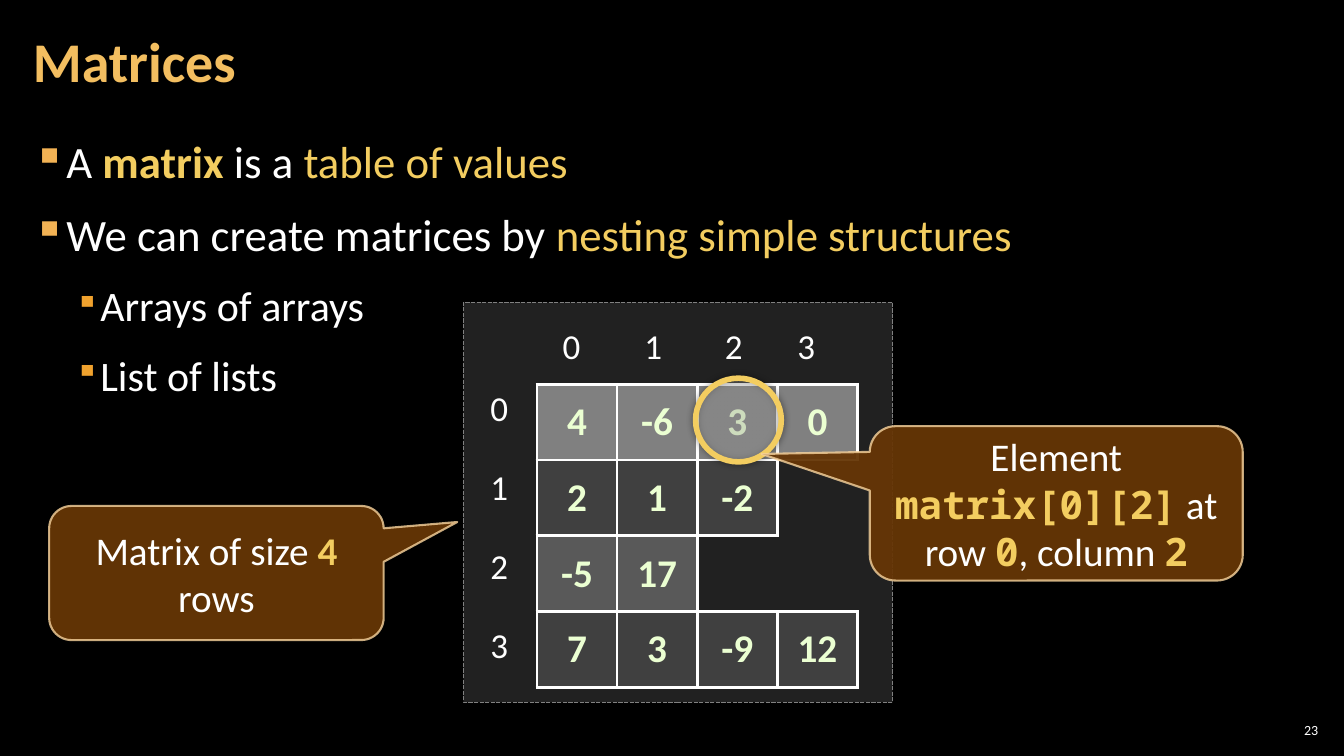
from dataclasses import dataclass

from lxml import etree
from pptx import Presentation
from pptx.dml.color import RGBColor
from pptx.enum.dml import MSO_LINE
from pptx.enum.shapes import MSO_SHAPE
from pptx.enum.text import MSO_ANCHOR, PP_ALIGN
from pptx.oxml.ns import qn
from pptx.util import Cm, Pt

LEFT, CENTER, RIGHT = PP_ALIGN.LEFT, PP_ALIGN.CENTER, PP_ALIGN.RIGHT
TOP, MIDDLE = MSO_ANCHOR.TOP, MSO_ANCHOR.MIDDLE
RECTANGLE, OVAL = MSO_SHAPE.RECTANGLE, MSO_SHAPE.OVAL
CALLOUT = MSO_SHAPE.ROUNDED_RECTANGULAR_CALLOUT
SOLID, DASHED = MSO_LINE.SOLID, MSO_LINE.SQUARE_DOT


@dataclass(frozen=True)
class Theme:
    font: str = "Calibri"
    code_font: str = "Noto Sans Mono"
    background: str = "000000"
    text: str = "FFFFFF"
    title: str = "F3BE60"
    accent: str = "F3CD60"
    bullets: tuple = ("F2B254", "F0A22E")
    panel: str = "A6A6A6"
    panel_line: str = "808080"
    value: str = "EBFFD2"
    row_fills: tuple = ("808080", "404040", "595959", "404040")
    callout: str = "663606"
    callout_line: str = "F8D49E"
    ring: str = "BFBFBF"
    title_size: float = 40
    body_sizes: tuple = (32, 30)
    value_size: float = 28
    index_size: float = 25
    number_size: float = 10


THEME = Theme()
PLAIN = {}
KEY = {"color": THEME.accent}
STRONG = {"color": THEME.accent, "bold": True}
CODE = {**STRONG, "font": THEME.code_font}

MATRIX = [[4, -6, 3, 0], [2, 1, -2], [-5, 17], [7, 3, -9, 12]]
BULLETS = [
    (0, [("A ", PLAIN), ("matrix ", STRONG), ("is a ", PLAIN), ("table of values", KEY)]),
    (0, [("We can create matrices by ", PLAIN), ("nesting simple structures", KEY)]),
    (1, [("Arrays of arrays", PLAIN)]),
    (1, [("List of lists", PLAIN)]),
]
SIZE_NOTE = [("Matrix of size ", PLAIN), ("4 ", STRONG), ("rows", PLAIN)]
ELEMENT_NOTE = [("Element ", PLAIN), ("matrix[0][2]", CODE), (" at row ", PLAIN),
                ("0", CODE), (", column ", PLAIN), ("2", CODE)]


def add_xml(parent, tag, **attributes):
    return etree.SubElement(parent, qn(tag), {k: str(v) for k, v in attributes.items()})


def write(paragraph, text, *, size, color=THEME.text, bold=False, font=THEME.font,
          align=LEFT, spacing=1.0, before=0, after=0):
    """Fill a paragraph from a string or from (string, format) pairs."""
    paragraph.alignment, paragraph.line_spacing = align, spacing
    paragraph.space_before, paragraph.space_after = Pt(before), Pt(after)
    for words, override in [(text, PLAIN)] if isinstance(text, str) else text:
        style = {"color": color, "bold": bold, "font": font, **override}
        run = paragraph.add_run()
        run.text = words
        run.font.name, run.font.size, run.font.bold = style["font"], Pt(size), style["bold"]
        run.font.color.rgb = RGBColor.from_string(style["color"])


def text_frame(slide, box, anchor=TOP, margins=(0.25, 0.13)):
    frame = slide.shapes.add_textbox(*map(Cm, box)).text_frame
    frame.word_wrap, frame.vertical_anchor = True, anchor
    frame.margin_left = frame.margin_right = Cm(margins[0])
    frame.margin_top = frame.margin_bottom = Cm(margins[1])
    return frame


def paragraphs(frame, count):
    return [frame.paragraphs[0]] + [frame.add_paragraph() for _ in range(count - 1)]


def set_alpha(color_format_parent, percent):
    for color in color_format_parent.iter(qn("a:srgbClr")):
        add_xml(color, "a:alpha", val=percent * 1000)


def add_outlined(slide, kind, box, fill, opacity, line, width, dash=SOLID, line_opacity=100):
    shape = slide.shapes.add_shape(kind, *map(Cm, box))
    shape.shadow.inherit = False
    shape.fill.solid()
    shape.fill.fore_color.rgb = RGBColor.from_string(fill)
    shape.line.color.rgb = RGBColor.from_string(line)
    shape.line.width, shape.line.dash_style = Pt(width), dash
    properties = shape.element.spPr
    set_alpha(properties.find(qn("a:solidFill")), opacity)
    set_alpha(properties.find(qn("a:ln")), line_opacity)
    return shape


def add_title(slide, box):
    frame = text_frame(slide, box, MIDDLE, (0.3, 0.1))
    write(frame.paragraphs[0], "Matrices", size=THEME.title_size, color=THEME.title,
          bold=True, spacing=0.9)


def add_bullets(slide, box):
    frame = text_frame(slide, box, margins=(0.3, 0.1))
    for paragraph, (level, words) in zip(paragraphs(frame, len(BULLETS)), BULLETS):
        write(paragraph, words, size=THEME.body_sizes[level], spacing=1.05, before=6, after=6)
        paragraph.level = level
        properties = paragraph._p.get_or_add_pPr()
        properties.set("marL", str(Cm((0.84, 1.7)[level])))
        properties.set("indent", str(-Cm((0.84, 0.64)[level])))
        add_xml(add_xml(properties, "a:buClr"), "a:srgbClr", val=THEME.bullets[level])
        add_xml(properties, "a:buSzPct", val=(100000, 80000)[level])
        add_xml(properties, "a:buChar", char="▪")


def add_matrix_row(slide, left, top, cell_width, cell_height, values, fill):
    shape = slide.shapes.add_table(1, len(values), Cm(left), Cm(top),
                                   Cm(cell_width * len(values)), Cm(cell_height))
    table = shape.table
    table.first_row = table.horz_banding = False
    for column, value in enumerate(values):
        table.columns[column].width = Cm(cell_width)
        cell = table.cell(0, column)
        cell.vertical_anchor = MIDDLE
        write(cell.text_frame.paragraphs[0], str(value), size=THEME.value_size,
              color=THEME.value, bold=True, align=CENTER)
        for side in ("a:lnL", "a:lnR", "a:lnT", "a:lnB"):
            border = add_xml(cell._tc.get_or_add_tcPr(), side, w=Pt(2.25))
            add_xml(add_xml(border, "a:solidFill"), "a:srgbClr", val=THEME.text)
        cell.fill.solid()
        cell.fill.fore_color.rgb = RGBColor.from_string(fill)


def add_column_indexes(slide, box):
    paragraph = text_frame(slide, box).paragraphs[0]
    write(paragraph, "\t0\t1\t2\t3", size=THEME.index_size)
    stops = add_xml(paragraph._p.get_or_add_pPr(), "a:tabLst")
    for center in (0.62, 2.68, 4.71, 6.54):
        add_xml(stops, "a:tab", pos=Cm(center), algn="ctr")


def add_row_indexes(slide, box):
    frame = text_frame(slide, box)
    for index, paragraph in enumerate(paragraphs(frame, len(MATRIX))):
        write(paragraph, str(index), size=THEME.index_size, spacing=0.95,
              before=28 if index else 0)


def add_matrix(slide, box):
    left, top, _, _ = box
    cell_width, cell_height = 2.02, 1.91
    grid_left, grid_top = left + 1.85, top + 2.06
    add_column_indexes(slide, (grid_left, top + 0.43, 8.08, 1.32))
    add_row_indexes(slide, (left + 0.43, grid_top, 1.07, 7.37))
    for index, (values, fill) in enumerate(zip(MATRIX, THEME.row_fills)):
        add_matrix_row(slide, grid_left, grid_top + index * cell_height,
                       cell_width, cell_height, values, fill)


def add_ring(slide, box):
    ring = add_outlined(slide, OVAL, box, THEME.ring, 25, THEME.accent, 4)
    effects = ring.element.spPr.find(qn("a:effectLst"))
    shadow = add_xml(effects, "a:outerShdw", blurRad=Pt(5), dist=0, dir=0)
    add_xml(shadow, "a:srgbClr", val=THEME.background)
    set_alpha(shadow, 40)


def add_callout(slide, box, words, tip):
    """Place a note whose pointer ends at tip, given as shares of its size from its center."""
    callout = add_outlined(slide, CALLOUT, box, THEME.callout, 95, THEME.callout_line, 1.5,
                           line_opacity=80)
    callout.adjustments[0], callout.adjustments[1] = tip
    frame = callout.text_frame
    frame.word_wrap, frame.vertical_anchor = True, MIDDLE
    write(frame.paragraphs[0], words, size=THEME.value_size, align=CENTER)


def add_slide_number(slide, box):
    frame = text_frame(slide, box, MIDDLE, (0.1, 0.1))
    write(frame.paragraphs[0], "23", size=THEME.number_size, align=RIGHT)


def build_matrices_slide(deck):
    slide = deck.slides.add_slide(deck.slide_layouts[6])
    slide.background.fill.solid()
    slide.background.fill.fore_color.rgb = RGBColor.from_string(THEME.background)
    panel_box = (11.68, 7.62, 10.82, 10.08)
    add_outlined(slide, RECTANGLE, panel_box, THEME.panel, 20, THEME.panel_line, 1, DASHED)
    add_bullets(slide, (0.53, 3.2, 32.79, 15.47))
    add_title(slide, (0.53, 0.1, 26.59, 3.07))
    add_matrix(slide, panel_box)
    add_slide_number(slide, (32.13, 18.14, 1.19, 0.53))
    add_callout(slide, (1.24, 12.75, 8.43, 3.38), SIZE_NOTE, (0.72, -0.38))
    add_ring(slide, (17.53, 9.53, 2.16, 2.11))
    add_callout(slide, (21.92, 10.74, 9.4, 3.89), ELEMENT_NOTE, (-0.79, -0.32))


def main():
    deck = Presentation()
    deck.slide_width, deck.slide_height = Cm(33.87), Cm(19.05)
    build_matrices_slide(deck)
    deck.save("out.pptx")


if __name__ == "__main__":
    main()
